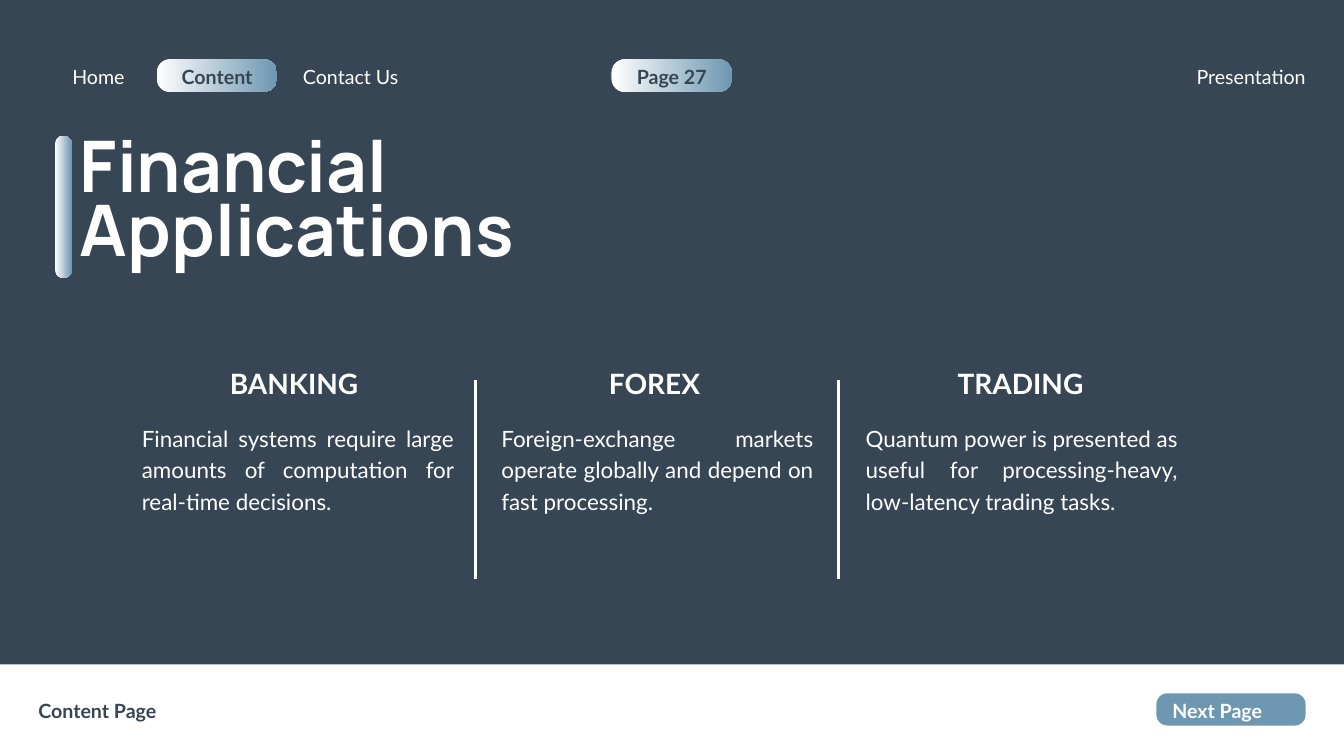
from dataclasses import dataclass

from lxml.etree import SubElement
from pptx import Presentation
from pptx.dml.color import RGBColor
from pptx.dml.fill import FillFormat
from pptx.enum.shapes import MSO_CONNECTOR, MSO_SHAPE
from pptx.enum.text import MSO_AUTO_SIZE, PP_ALIGN
from pptx.oxml.ns import qn
from pptx.slide import Slide
from pptx.util import Cm, Pt

COLORS = {"slate": "374654", "white": "FFFFFF", "steel": "6E97B1"}
GRADIENT = ("white", "steel")
FRAME_FORMAT = {
    "margin_left": 0, "margin_top": 0, "margin_right": 0, "margin_bottom": 0,
    "word_wrap": True, "auto_size": MSO_AUTO_SIZE.SHAPE_TO_FIT_TEXT,
}


@dataclass(frozen=True)
class Style:
    size: float
    spacing: float
    bold: bool = False
    font: str = "Lato"


@dataclass(frozen=True)
class Label:
    text: str
    left: float
    top: float
    width: float
    height: float
    style: Style
    align: PP_ALIGN = PP_ALIGN.CENTER
    color: str = "white"


@dataclass(frozen=True)
class Panel:
    left: float
    top: float
    width: float
    height: float
    rounding: float
    color: str = "gradient"


@dataclass(frozen=True)
class Topic:
    heading: str
    heading_left: float
    heading_width: float
    body: str
    body_left: float


NAV = Style(21, 29.4)
NAV_BOLD = Style(21, 29.4, bold=True)
TITLE = Style(76.2, 68.5, bold=True, font="Manrope")
HEADING = Style(30, 36, bold=True)
BODY = Style(24, 33.6)

NAV_TOP, FOOTER_TOP, NAV_HEIGHT = 2.31, 26.26, 0.99
PILL_TOP, PILL_WIDTH, PILL_HEIGHT = 2.25, 4.55, 1.22

PANELS = [
    Panel(23.11, PILL_TOP, PILL_WIDTH, PILL_HEIGHT, 0.41),
    Panel(5.92, PILL_TOP, PILL_WIDTH, PILL_HEIGHT, 0.41),
    Panel(2.08, 5.13, 0.64, 5.38, 0.5),
    Panel(0, 25.12, 50.8, 3.46, 0, "white"),
    Panel(43.71, 26.21, 5.64, PILL_HEIGHT, 0.34, "steel"),
]
LABELS = [
    Label("Page 27", 23.75, NAV_TOP, 3.28, NAV_HEIGHT, NAV_BOLD, color="slate"),
    Label("Content", 6.58, NAV_TOP, 3.25, NAV_HEIGHT, NAV_BOLD, color="slate"),
    Label("Contact Us", 11.02, NAV_TOP, 4.47, NAV_HEIGHT, NAV),
    Label("Presentation", 37.34, NAV_TOP, 12.01, NAV_HEIGHT, NAV, PP_ALIGN.RIGHT),
    Label("Home", 2.08, NAV_TOP, 3.28, NAV_HEIGHT, NAV),
    Label("Financial Applications", 3.02, 5.41, 25.65, 5.21, TITLE,
          PP_ALIGN.LEFT, "gradient"),
    Label("Next Page", 44.12, FOOTER_TOP, 3.78, NAV_HEIGHT, NAV_BOLD),
    Label("Content Page", 1.45, FOOTER_TOP, 5.77, NAV_HEIGHT, NAV_BOLD,
          PP_ALIGN.LEFT, "slate"),
]
TOPICS = [
    Topic("BANKING", 6.86, 8.51,
          "Financial systems require large amounts of computation for "
          "real-time decisions.", 5.36),
    Topic("FOREX", 19.71, 10.06,
          "Foreign-exchange markets operate globally and depend on fast "
          "processing.", 18.95),
    Topic("TRADING", 32.72, 11.71,
          "Quantum power is presented as useful for processing-heavy, "
          "low-latency trading tasks.", 32.72),
]
DIVIDER_LEFTS = (17.98, 31.7)
DIVIDER_TOP, DIVIDER_BOTTOM = 14.35, 21.87


def rgb(name: str) -> RGBColor:
    return RGBColor.from_string(COLORS[name])


def paint(fill: FillFormat, color: str) -> None:
    """Fill with a named colour, or with the left-to-right gradient."""
    if color == "gradient":
        fill.gradient()
        fill.gradient_angle = 0
        for stop, name in zip(fill.gradient_stops, GRADIENT):
            stop.color.rgb = rgb(name)
    else:
        fill.solid()
        fill.fore_color.rgb = rgb(color)


def add_panel(slide: Slide, panel: Panel) -> None:
    kind = MSO_SHAPE.ROUNDED_RECTANGLE if panel.rounding else MSO_SHAPE.RECTANGLE
    shape = slide.shapes.add_shape(
        kind, Cm(panel.left), Cm(panel.top), Cm(panel.width), Cm(panel.height))
    if panel.rounding:
        shape.adjustments[0] = panel.rounding
    shape.shadow.inherit = False
    shape.line.fill.background()
    paint(shape.fill, panel.color)


def add_label(slide: Slide, label: Label) -> None:
    frame = slide.shapes.add_textbox(
        Cm(label.left), Cm(label.top), Cm(label.width), Cm(label.height)).text_frame
    for name, value in FRAME_FORMAT.items():
        setattr(frame, name, value)
    paragraph = frame.paragraphs[0]
    paragraph.alignment = label.align
    paragraph.line_spacing = Pt(label.style.spacing)
    run = paragraph.add_run()
    run.text = label.text
    font_format = {"name": label.style.font, "size": Pt(label.style.size),
                   "bold": label.style.bold}
    for name, value in font_format.items():
        setattr(run.font, name, value)
    paint(run.font.fill, label.color)


def add_topic(slide: Slide, topic: Topic) -> None:
    add_label(slide, Label(topic.heading, topic.heading_left, 13.85,
                           topic.heading_width, 1.27, HEADING))
    add_label(slide, Label(topic.body, topic.body_left, 15.9, 11.79, 4.6,
                           BODY, PP_ALIGN.JUSTIFY))


def add_divider(slide: Slide, left: float) -> None:
    divider = slide.shapes.add_connector(
        MSO_CONNECTOR.STRAIGHT, Cm(left), Cm(DIVIDER_BOTTOM), Cm(left), Cm(DIVIDER_TOP))
    divider.line.color.rgb = rgb("white")
    divider.line.width = Pt(3)
    SubElement(divider._element.spPr, qn("a:effectLst"))


def main() -> None:
    presentation = Presentation()
    presentation.slide_width, presentation.slide_height = Cm(50.8), Cm(28.58)
    slide = presentation.slides.add_slide(presentation.slide_layouts[6])
    paint(slide.background.fill, "slate")
    for panel in PANELS:
        add_panel(slide, panel)
    for label in LABELS:
        add_label(slide, label)
    for topic in TOPICS:
        add_topic(slide, topic)
    for left in DIVIDER_LEFTS:
        add_divider(slide, left)
    presentation.save("out.pptx")


if __name__ == "__main__":
    main()
